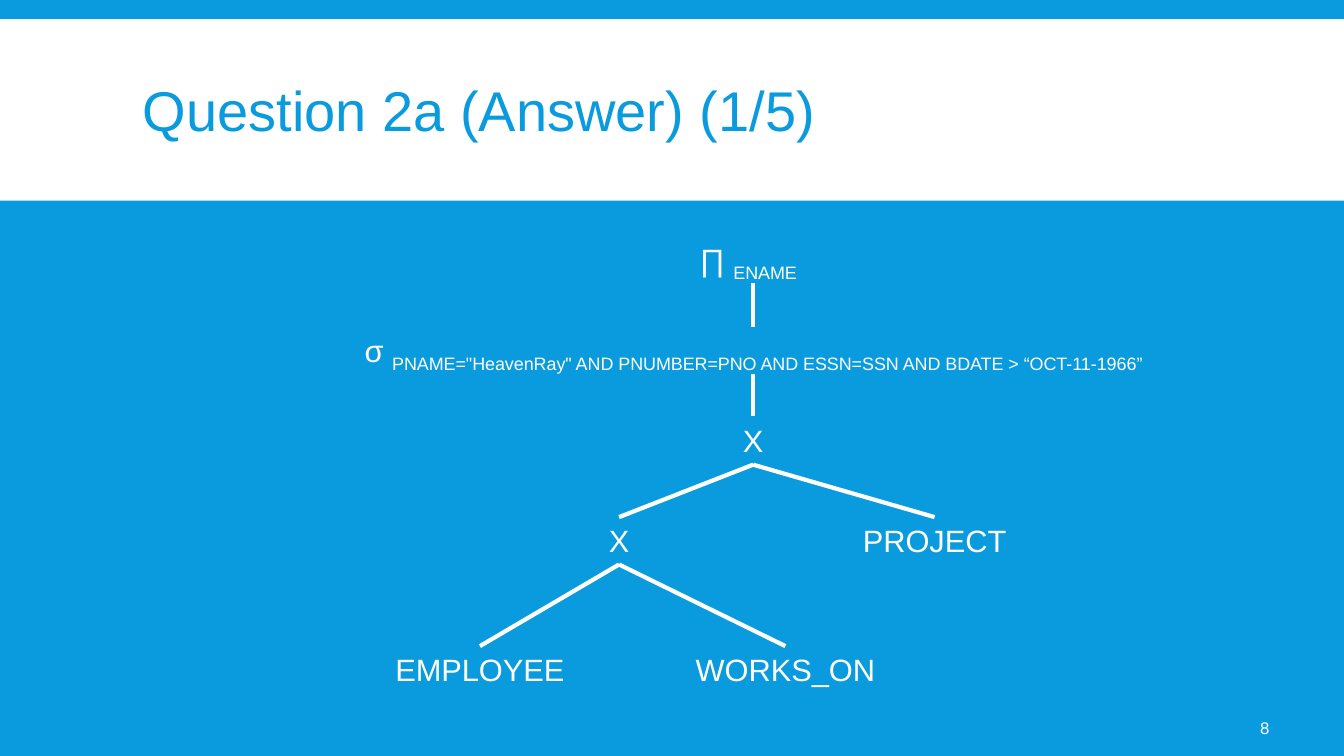
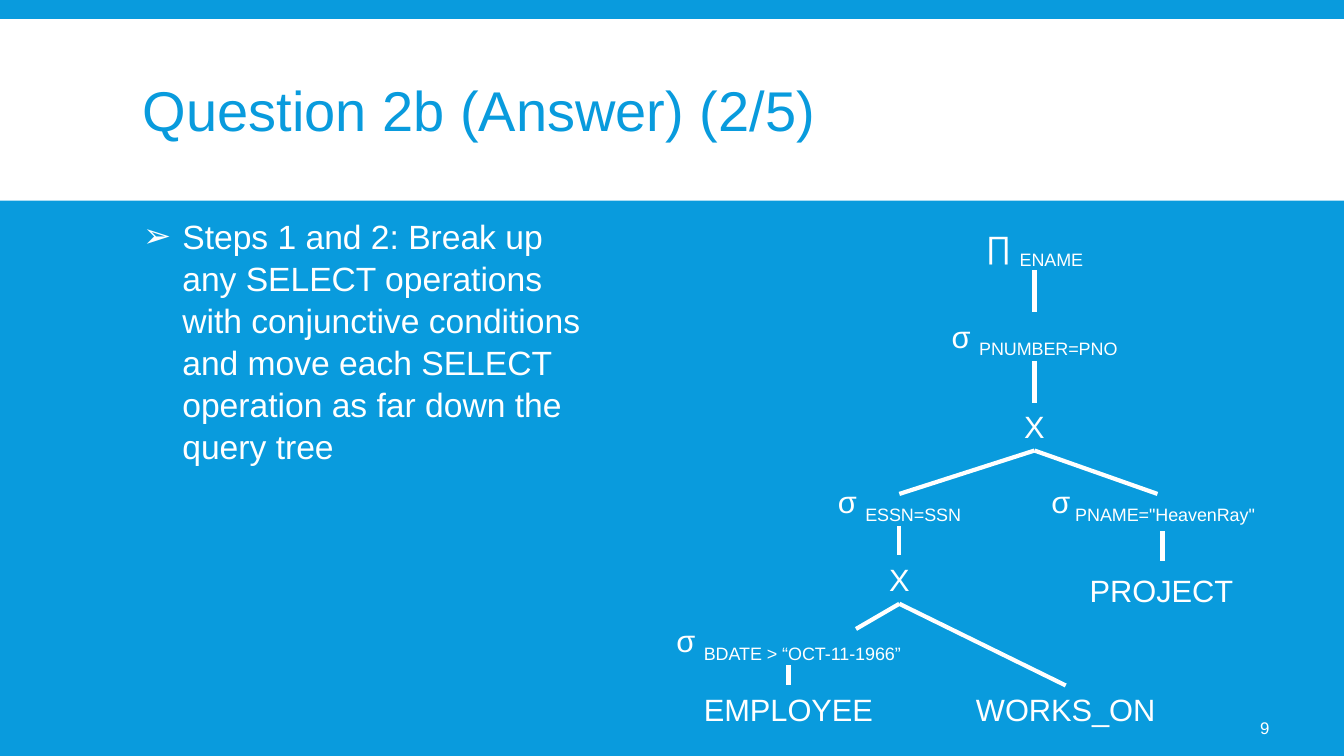
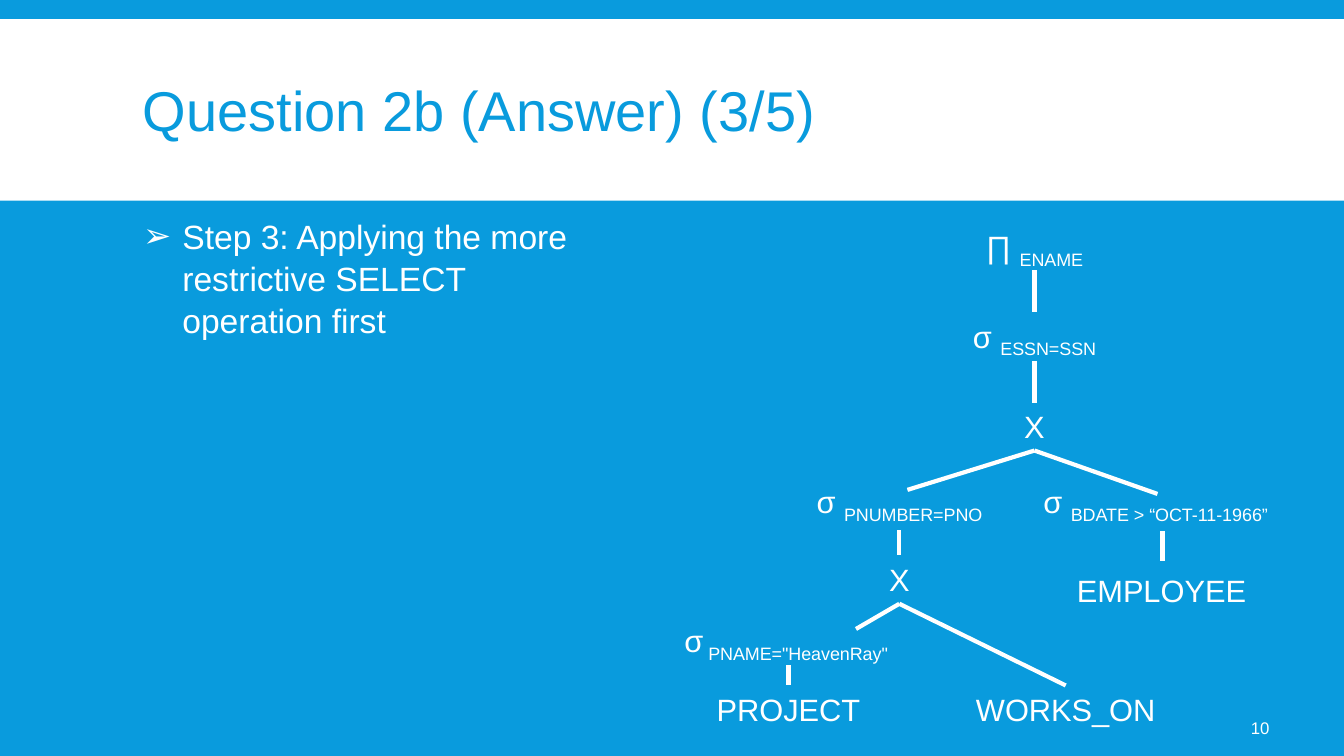
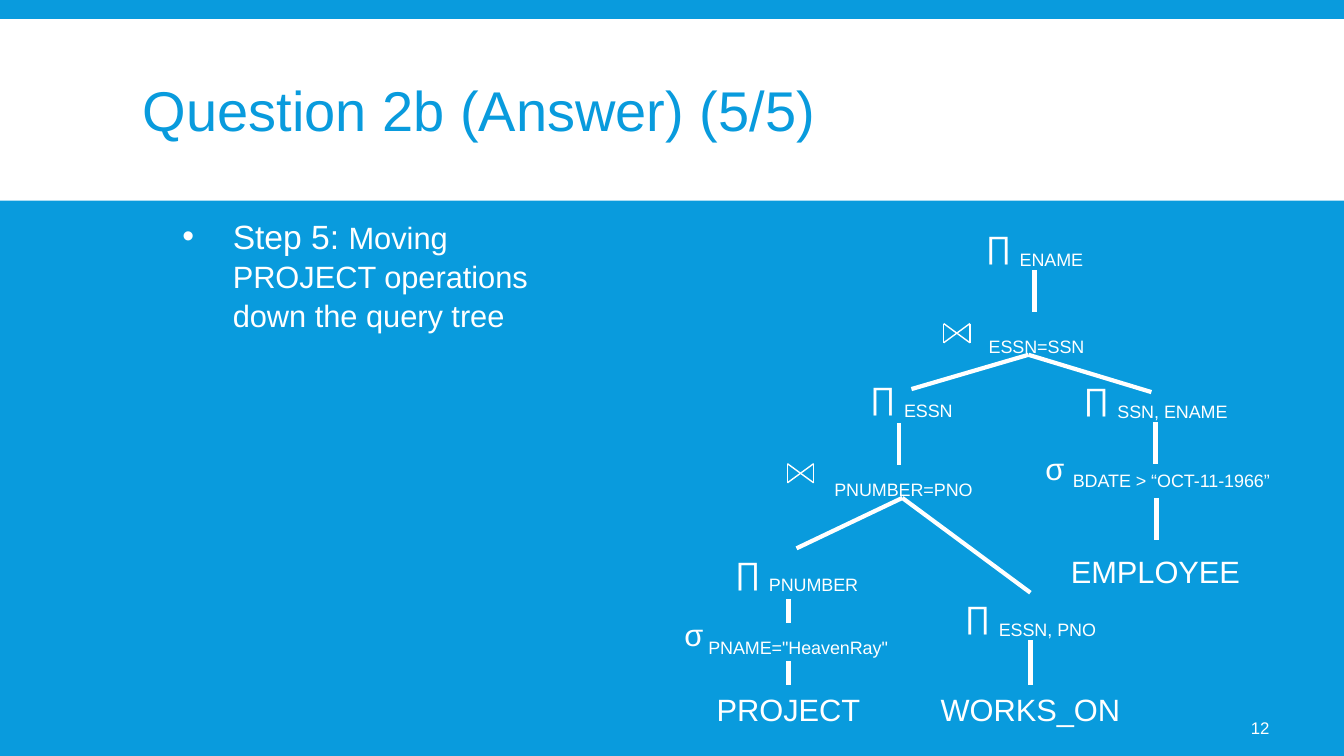
from lxml import etree
from pptx import Presentation
from pptx.dml.color import RGBColor
from pptx.enum.shapes import MSO_CONNECTOR, MSO_SHAPE
from pptx.enum.text import MSO_ANCHOR, PP_ALIGN
from pptx.oxml.ns import qn
from pptx.util import Emu, Inches, Pt

STRAIGHT = MSO_CONNECTOR.STRAIGHT
RECTANGLE = MSO_SHAPE.RECTANGLE
LEFT, CENTER, RIGHT = PP_ALIGN.LEFT, PP_ALIGN.CENTER, PP_ALIGN.RIGHT
TOP, MIDDLE = MSO_ANCHOR.TOP, MSO_ANCHOR.MIDDLE

WIDTH, HEIGHT = 13.33, 7.5
BLUE, WHITE = "099BDD", "FFFFFF"
FONT = "Arial"
TREE_SIZE, STEP_SIZE = 22, 24
NODE_HEIGHT = 0.47
SUBSCRIPT = "-25000"

BAND_BOX = (0, 0.19, WIDTH, 1.8)
TITLE_BOX = (1.32, 0.31, 10.7, 1.65)
STEP_BOX = (1.32, 2.08, 4.71, 3.85)
NUMBER_BOX = (11.66, 7.02, 1.03, 0.4)
NUMBER_INSETS = (0.05, 0.05, 0.1, 0.05)

ARROW_BULLET = ("➢", 0.39, 0.39)
DOT_BULLET = ("•", 0.89, 0.5)

ENAME = ("∏ ", "ENAME")
NUMBER_JOIN = ("σ ", "PNUMBER=PNO")
ESSN_JOIN = ("σ ", "ESSN=SSN")
BIRTH_DATE = ("σ ", "BDATE > “OCT-11-1966”")
PROJECT_NAME = ("σ", ' PNAME="HeavenRay" ')
PRODUCT = ("X", "")
EMPLOYEE, PROJECT, WORKS_ON = ("EMPLOYEE", ""), ("PROJECT", ""), ("WORKS_ON", "")

SPLIT_PLACES = [
    (10.26, 2.21), (10.26, 3.1), (10.26, 4), (8.92, 4.74), (11.46, 4.74),
    (8.92, 5.51), (11.52, 5.62), (7.82, 6.12), (7.82, 6.8), (10.57, 6.8),
]
SPLIT_BRANCHES = [
    ((10.26, 2.68), [(10.26, 3.1)]),
    ((10.26, 3.58), [(10.26, 4)]),
    ((10.26, 4.47), [(11.48, 4.9)]),
    ((11.53, 5.27), [(11.53, 5.57)]),
    ((8.92, 5.99), [(10.57, 6.8), (8.49, 6.24)]),
    ((7.82, 6.6), [(7.82, 6.8)]),
]

SLIDES = [
    {
        "title": "Question 2a (Answer) (1/5)",
        "number": "8",
        "nodes": [
            ((7.42, 2.34), ENAME),
            ((7.47, 3.24), ("σ ", 'PNAME="HeavenRay" AND PNUMBER=PNO AND ESSN=SSN AND BDATE > “OCT-11-1966”')),
            ((7.47, 4.13), PRODUCT),
            ((6.14, 5.13), PRODUCT),
            ((9.27, 5.13), PROJECT),
            ((4.76, 6.41), EMPLOYEE),
            ((7.79, 6.41), WORKS_ON),
        ],
        "branches": [
            ((7.47, 2.81), [(7.47, 3.24)]),
            ((7.47, 3.71), [(7.47, 4.13)]),
            ((7.47, 4.61), [(9.27, 5.13), (6.14, 5.13)]),
            ((6.14, 5.6), [(7.79, 6.41), (4.76, 6.41)]),
        ],
    },
    {
        "title": "Question 2b (Answer) (2/5)",
        "number": "9",
        "step": [("Steps 1 and 2: Break up any SELECT operations with conjunctive conditions "
                  "and move each SELECT operation as far down the query tree", STEP_SIZE)],
        "bullet": ARROW_BULLET,
        "nodes": list(zip(SPLIT_PLACES, [
            ENAME, NUMBER_JOIN, PRODUCT, ESSN_JOIN, PROJECT_NAME,
            PRODUCT, PROJECT, BIRTH_DATE, EMPLOYEE, WORKS_ON])),
        "branches": SPLIT_BRANCHES + [
            ((10.26, 4.47), [(8.92, 4.9)]),
            ((8.92, 5.22), [(8.92, 5.51)]),
        ],
    },
    {
        "title": "Question 2b (Answer) (3/5)",
        "number": "10",
        "step": [("Step 3: Applying the more restrictive SELECT operation first", STEP_SIZE)],
        "bullet": ARROW_BULLET,
        "nodes": list(zip(SPLIT_PLACES, [
            ENAME, ESSN_JOIN, PRODUCT, NUMBER_JOIN, BIRTH_DATE,
            PRODUCT, EMPLOYEE, PROJECT_NAME, PROJECT, WORKS_ON])),
        "branches": SPLIT_BRANCHES + [
            ((10.26, 4.47), [(9, 4.86)]),
            ((8.92, 5.26), [(8.92, 5.51)]),
        ],
    },
    {
        "title": "Question 2b (Answer) (5/5)",
        "number": "12",
        "step": [("Step 5: ", STEP_SIZE),
                 ("Moving PROJECT operations down the query tree", TREE_SIZE)],
        "bullet": DOT_BULLET,
        "nodes": [
            ((10.26, 2.21), ENAME),
            ((10.28, 3.08), ("", "ESSN=SSN")),
            ((9.04, 3.71), ("∏ ", "ESSN")),
            ((11.46, 3.72), ("∏ ", "SSN, ENAME")),
            ((11.48, 4.41), BIRTH_DATE),
            ((8.96, 4.49), ("", "PNUMBER=PNO")),
            ((11.46, 5.43), EMPLOYEE),
            ((7.9, 5.44), ("∏ ", "PNUMBER")),
            ((10.22, 5.88), ("∏ ", "ESSN, PNO")),
            ((7.82, 6.06), PROJECT_NAME),
            ((7.82, 6.8), PROJECT),
            ((10.22, 6.8), WORKS_ON),
        ],
        "branches": [
            ((10.26, 2.68), [(10.26, 3.1)]),
            ((10.2, 3.52), [(9.04, 3.86), (11.42, 3.89)]),
            ((8.92, 4.2), [(8.92, 4.61)]),
            ((11.46, 4.19), [(11.46, 4.6)]),
            ((11.47, 4.94), [(11.47, 5.36)]),
            ((8.95, 4.94), [(7.9, 5.44), (10.22, 5.88)]),
            ((7.82, 5.94), [(7.82, 6.18)]),
            ((10.22, 6.35), [(10.22, 6.8)]),
            ((7.82, 6.56), [(7.82, 6.8)]),
        ],
        "joins": [(9.36, 3.21), (7.81, 4.6)],
    },
]


def color(value):
    return RGBColor.from_string(value)


def add_text(slide, box, runs, fill=WHITE, align=LEFT, anchor=TOP, insets=(0.1, 0.05, 0.1, 0.05)):
    shape = slide.shapes.add_textbox(*map(Inches, box))
    frame = shape.text_frame
    frame.word_wrap = True
    frame.vertical_anchor = anchor
    frame.margin_left, frame.margin_top, frame.margin_right, frame.margin_bottom = map(Inches, insets)
    paragraph = frame.paragraphs[0]
    paragraph.alignment = align
    for text, size in runs:
        run = paragraph.add_run()
        run.text = text
        run.font.name = FONT
        run.font.size = Pt(size)
        run.font.color.rgb = color(fill)
    return paragraph


def add_line(shapes, start, end, width):
    line = shapes.add_connector(STRAIGHT, *map(Inches, start + end))
    line.line.color.rgb = color(WHITE)
    line.line.width = Pt(width)
    etree.SubElement(line._element.spPr, qn("a:effectLst"))


def add_frame(slide, title, number):
    band = slide.shapes.add_shape(RECTANGLE, *map(Inches, BAND_BOX))
    band.shadow.inherit = False
    band.fill.solid()
    band.fill.fore_color.rgb = color(WHITE)
    band.line.fill.background()
    add_text(slide, TITLE_BOX, [(title, 40)], BLUE, anchor=MIDDLE).line_spacing = 0.85
    add_text(slide, NUMBER_BOX, [(number, 12)], align=RIGHT, anchor=MIDDLE, insets=NUMBER_INSETS)


def add_step(slide, runs, bullet):
    character, margin, hanging = bullet
    paragraph = add_text(slide, STEP_BOX, runs)
    paragraph.line_spacing = 1.04
    properties = paragraph._p.get_or_add_pPr()
    properties.set("marL", str(Inches(margin)))
    properties.set("indent", str(-Inches(hanging)))
    bullet_color = etree.SubElement(properties, qn("a:buClr"))
    etree.SubElement(bullet_color, qn("a:srgbClr")).set("val", WHITE)
    etree.SubElement(properties, qn("a:buFont")).set("typeface", FONT)
    etree.SubElement(properties, qn("a:buChar")).set("char", character)


def add_node(slide, place, label):
    center, top = place
    operator, condition = label
    width = 0.4 + 0.22 * len(operator) + 0.13 * len(condition)
    runs = [(text, TREE_SIZE) for text in label if text]
    paragraph = add_text(slide, (center - width / 2, top, width, NODE_HEIGHT), runs, align=CENTER)
    if condition:
        paragraph.runs[-1].font._element.set("baseline", SUBSCRIPT)


def add_join(slide, left, top, width=0.26, height=0.19):
    group = slide.shapes.add_group_shape()
    right, bottom = left + width, top + height
    for start_x, end_x in ((left, left), (right, right), (left, right), (right, left)):
        add_line(group.shapes, (start_x, top), (end_x, bottom), 1)


def main():
    presentation = Presentation()
    presentation.slide_width = Emu(Inches(WIDTH))
    presentation.slide_height = Inches(HEIGHT)
    background = presentation.slide_master.background.fill
    background.solid()
    background.fore_color.rgb = color(BLUE)
    for content in SLIDES:
        slide = presentation.slides.add_slide(presentation.slide_layouts[6])
        add_frame(slide, content["title"], content["number"])
        if "step" in content:
            add_step(slide, content["step"], content["bullet"])
        for place, label in content["nodes"]:
            add_node(slide, place, label)
        for start, ends in content["branches"]:
            for end in ends:
                add_line(slide.shapes, start, end, 3)
        for left, top in content.get("joins", []):
            add_join(slide, left, top)
    presentation.save("out.pptx")


if __name__ == "__main__":
    main()
